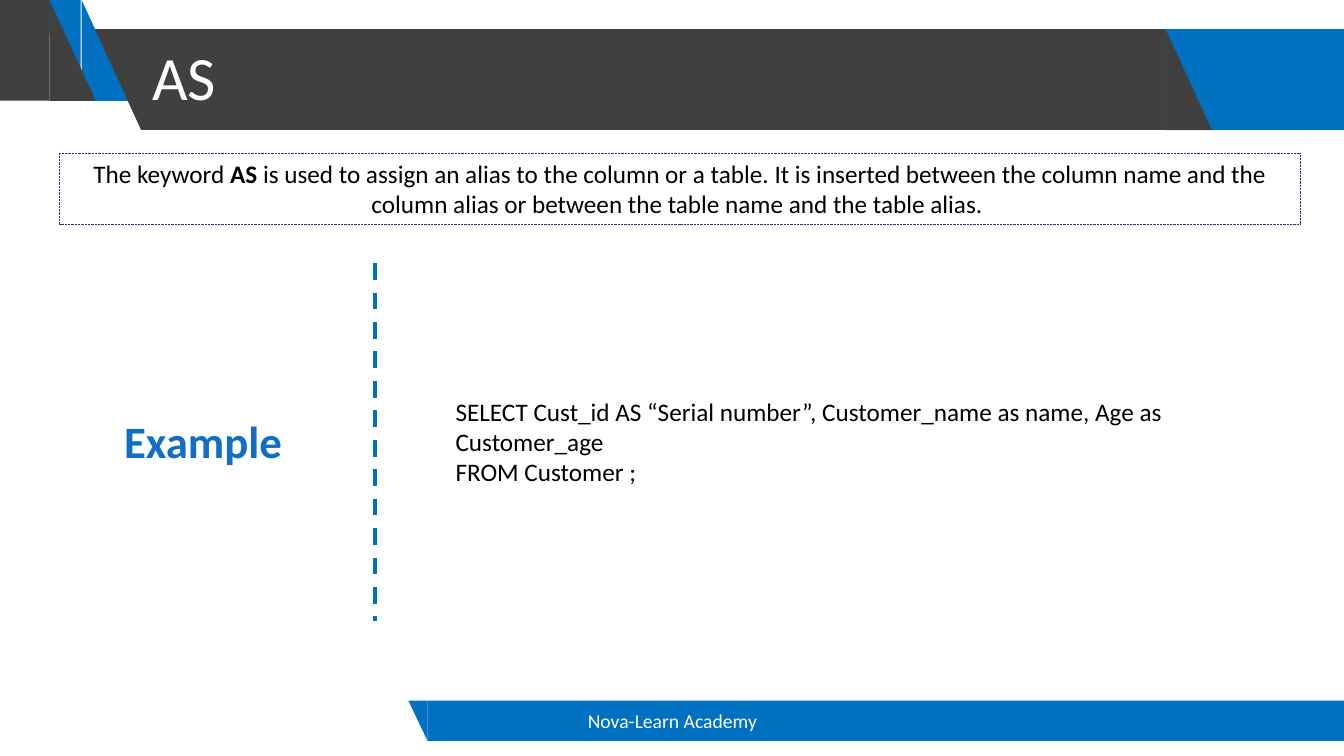
import pptx
import pptx.util
import pptx.dml.color
import pptx.enum.dml
import pptx.enum.shapes
import pptx.enum.text
import lxml.etree

Inches = pptx.util.Inches
Pt = pptx.util.Pt
Kind = pptx.enum.shapes.MSO_SHAPE
Anchor = pptx.enum.text.MSO_ANCHOR
Align = pptx.enum.text.PP_ALIGN
Dash = pptx.enum.dml.MSO_LINE

COLORS = {"blue": "0070C0", "dark": "404040", "white": "FFFFFF",
          "black": "000000", "label": "0F6FC6", "frame": "263393"}
FONT = "Calibri"
SLANT = 0.46
BAR_TOP = 0.29
BAR_HEIGHT = 1
FOOTER_TOP, FOOTER_HEIGHT = 6.95, 0.4

BANDS = [
    (Kind.RECTANGLE, 10.68, BAR_TOP, 2.65, BAR_HEIGHT, "blue", 0),
    (Kind.RIGHT_TRIANGLE, 0.81, 0, SLANT, BAR_HEIGHT, "blue", 0),
    (Kind.RIGHT_TRIANGLE, 0.34, 0, SLANT, BAR_HEIGHT, "blue", 180),
    (Kind.RECTANGLE, 0, 0, 0.49, BAR_HEIGHT, "dark", 0),
    (Kind.RIGHT_TRIANGLE, 0.49, 0, SLANT, BAR_HEIGHT, "dark", 0),
    (Kind.RIGHT_TRIANGLE, 0.94, BAR_TOP, SLANT, BAR_HEIGHT, "dark", 180),
    (Kind.RECTANGLE, 1.4, BAR_TOP, 10.16, BAR_HEIGHT, "dark", 0),
    (Kind.RIGHT_TRIANGLE, 11.56, BAR_TOP, SLANT, BAR_HEIGHT, "dark", 0),
    (Kind.RECTANGLE, 4.24, FOOTER_TOP, 9.09, FOOTER_HEIGHT, "blue", 0),
    (Kind.RIGHT_TRIANGLE, 4.05, FOOTER_TOP, 0.19, FOOTER_HEIGHT, "blue", 180),
]

TITLE = [[("AS", False)]]
FOOTER = [[("Nova-Learn Academy", False)]]
DEFINITION = [[
    ("The keyword ", False),
    ("AS", True),
    (" is used to assign an alias to the column or a table. It is inserted between the column name "
     "and the column alias or between the table name and the table alias. ", False),
]]
LABEL = [[("Example", True)]]
QUERY = [
    [("SELECT Cust_id AS “Serial number”, Customer_name as name, Age as Customer_age", False)],
    [("FROM Customer ;", False)],
]


def rgb(name):
    """Return the named colour."""
    return pptx.dml.color.RGBColor.from_string(COLORS[name])


def add_band(page, kind, left, top, width, height, color, turn):
    """Add one filled piece of the header or footer."""
    band = page.shapes.add_shape(kind, *map(Inches, (left, top, width, height)))
    band.shadow.inherit = False
    band.fill.solid()
    band.fill.fore_color.rgb = rgb(color)
    band.line.fill.background()
    band.rotation = turn


def write(box, paragraphs, size, color, align=Align.LEFT, anchor=Anchor.TOP, spacing=None):
    """Fill a box with paragraphs of (text, bold) runs."""
    frame = box.text_frame
    frame.word_wrap = True
    frame.vertical_anchor = anchor
    for index, spans in enumerate(paragraphs):
        para = frame.add_paragraph() if index else frame.paragraphs[0]
        para.alignment = align
        if spacing:
            para.line_spacing = spacing
        for text, bold in spans:
            span = para.add_run()
            span.text = text
            span.font.name = FONT
            span.font.size = Pt(size)
            span.font.bold = bold
            span.font.color.rgb = rgb(color)


def add_text(page, place, *args, **options):
    """Add a text box at left, top, width, height."""
    write(page.shapes.add_textbox(*map(Inches, place)), *args, **options)


def add_definition(page):
    """Add the dotted frame with the definition."""
    box = page.shapes.add_shape(Kind.RECTANGLE, *map(Inches, (0.59, 1.52, 12.31, 0.71)))
    box.shadow.inherit = False
    box.fill.background()
    box.line.color.rgb = rgb("frame")
    box.line.width = Pt(0.5)
    box.line.dash_style = Dash.ROUND_DOT
    write(box, DEFINITION, 18, "black", Align.CENTER)


def add_divider(page):
    """Add the dashed line beside the example."""
    straight = pptx.enum.shapes.MSO_CONNECTOR.STRAIGHT
    divider = page.shapes.add_connector(straight, *map(Inches, (3.72, 2.61, 3.72, 6.16)))
    divider.line.color.rgb = rgb("blue")
    divider.line.width = Pt(3)
    divider.line.dash_style = Dash.DASH
    properties = divider.element.spPr
    namespace = lxml.etree.QName(properties.find("{*}ln")).namespace
    lxml.etree.SubElement(properties, f"{{{namespace}}}effectLst")


def main():
    """Build and save the slide."""
    deck = pptx.Presentation()
    deck.slide_width, deck.slide_height = Inches(13.33), Inches(7.5)
    page = deck.slides.add_slide(deck.slide_layouts[6])
    for band in BANDS:
        add_band(page, *band)
    add_text(page, (1.41, 0.07, 10.14, 1.45), TITLE, 44, "white", anchor=Anchor.MIDDLE, spacing=0.9)
    add_text(page, (4.42, FOOTER_TOP, 4.5, FOOTER_HEIGHT), FOOTER, 14, "white",
             Align.CENTER, Anchor.MIDDLE)
    add_definition(page)
    add_divider(page)
    add_text(page, (0.31, 4.06, 3.41, 0.64), LABEL, 32, "label", Align.CENTER)
    add_text(page, (4.42, 3.88, 8.26, 1.01), QUERY, 18, "black")
    deck.save("out.pptx")


if __name__ == "__main__":
    main()
